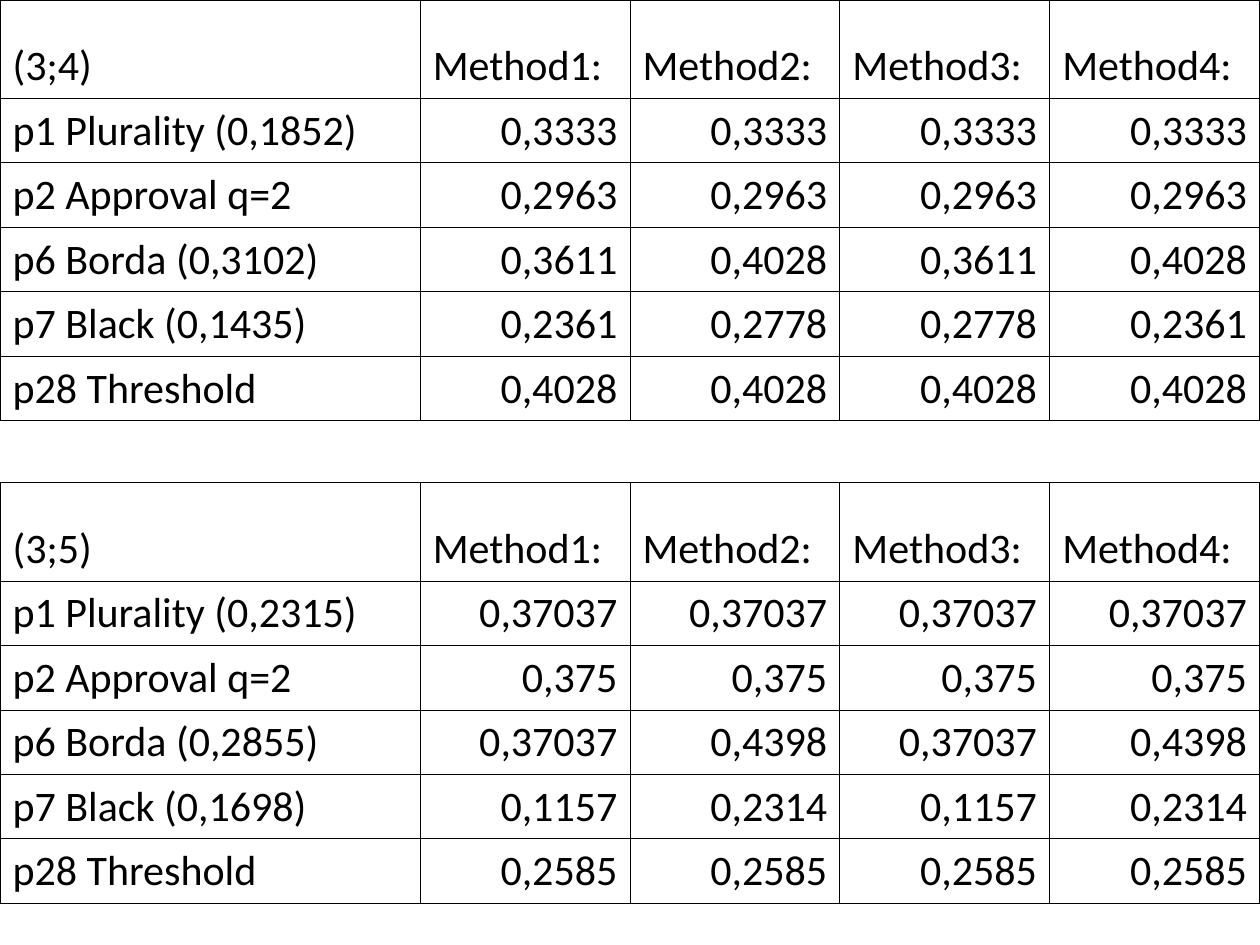
from lxml.etree import SubElement
from pptx import Presentation
from pptx.dml.color import RGBColor
from pptx.enum.text import MSO_ANCHOR, PP_ALIGN
from pptx.oxml.ns import qn
from pptx.util import Cm, Pt


def color(hex_string):
    return RGBColor.from_string(hex_string)


def write(cell, text, size=24, font="Calibri", ink="000000", align=PP_ALIGN.LEFT):
    cell.vertical_anchor = MSO_ANCHOR.BOTTOM
    paragraph = cell.text_frame.paragraphs[0]
    paragraph.alignment = align
    run = paragraph.add_run()
    run.text = text
    run.font.size = Pt(size)
    run.font.name = font
    run.font.color.rgb = color(ink)


methods = ["Method1:", "Method2:", "Method3:", "Method4:"]
results = [
    (0, [
        ["(3;4)", *methods],
        ["p1 Plurality (0,1852)"] + ["0,3333"] * 4,
        ["p2 Approval q=2"] + ["0,2963"] * 4,
        ["p6 Borda (0,3102)"] + ["0,3611", "0,4028"] * 2,
        ["p7 Black (0,1435)", "0,2361", "0,2778", "0,2778", "0,2361"],
        ["p28 Threshold"] + ["0,4028"] * 4,
    ]),
    (9.73, [
        ["(3;5)", *methods],
        ["p1 Plurality (0,2315)"] + ["0,37037"] * 4,
        ["p2 Approval q=2"] + ["0,375"] * 4,
        ["p6 Borda (0,2855)"] + ["0,37037", "0,4398"] * 2,
        ["p7 Black (0,1698)"] + ["0,1157", "0,2314"] * 2,
        ["p28 Threshold"] + ["0,2585"] * 4,
    ]),
]
column_widths = [8.47] + [4.23] * 4
row_heights = [1.98] + [1.3] * 5

prs = Presentation()
prs.slide_width, prs.slide_height = Cm(25.4), Cm(19.05)
slide = prs.slides.add_slide(prs.slide_layouts[6])

for top, rows in results:
    table = slide.shapes.add_table(
        len(rows), len(column_widths), Cm(0), Cm(top),
        Cm(sum(column_widths)), Cm(sum(row_heights))).table
    table.first_row = False
    table.horz_banding = False
    for column, width in zip(table.columns, column_widths):
        column.width = Cm(width)
    for row, height in zip(table.rows, row_heights):
        row.height = Cm(height)
    for r, values in enumerate(rows):
        for c, value in enumerate(values):
            cell = table.cell(r, c)
            write(cell, value, align=PP_ALIGN.RIGHT if r and c else PP_ALIGN.LEFT)
            properties = cell._tc.get_or_add_tcPr()
            for side in ("lnL", "lnR", "lnT", "lnB"):
                border = SubElement(properties, qn(f"a:{side}"), w=str(Pt(0.45)))
                border_fill = SubElement(border, qn("a:solidFill"))
                SubElement(border_fill, qn("a:srgbClr"), val="000000")
            cell.fill.background()

prs.save("out.pptx")
